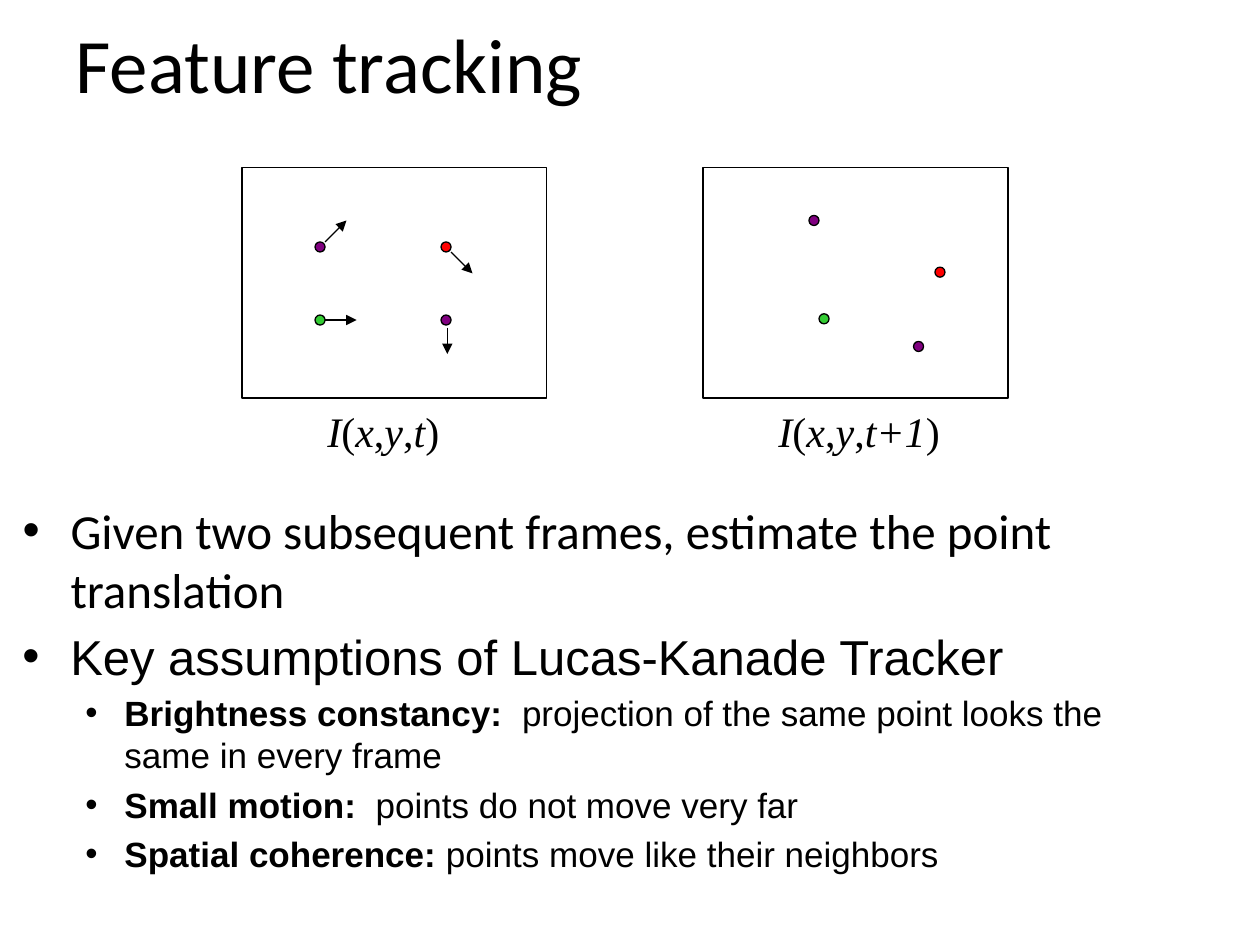
"""Build a slide that explains feature tracking between two frames."""
import pptx
import pptx.dml.color
import pptx.enum.shapes
import pptx.enum.text
import pptx.oxml
import pptx.oxml.ns
import pptx.util

Inches = pptx.util.Inches
Pt = pptx.util.Pt

THEME = {
    "ink": "000000", "paper": "FFFFFF",
    "purple": "800080", "red": "FF0000", "green": "33CC33",
    "sans": "Calibri", "list": "Arial", "math": "Times New Roman",
    "title": 44, "body": 28, "detail": 20, "formula": 24, "line": 0.75,
}

TITLE = ["Feature tracking"]
TASK = ["Given two subsequent frames, estimate the point translation"]
ASSUMPTIONS = ["Key assumptions of Lucas-Kanade Tracker"]
DETAILS = [
    ["Brightness constancy:  ", "projection of the same point looks the same in every frame"],
    ["Small motion:", "  points do not move very far"],
    ["Spatial coherence:", " points move like their neighbors"],
]
FRAMES = [
    {"left": 1.92,
     "points": [("purple", 2.5, 1.92), ("red", 3.5, 1.92),
                ("green", 2.5, 2.5), ("purple", 3.5, 2.5)],
     "label": ["I", "(", "x", ",", "y", ",", "t", ")"],
     "label_box": (2.5, 3.17, 1.1, 0.51)},
    {"left": 5.58,
     "points": [("purple", 6.42, 1.71), ("red", 7.42, 2.12),
                ("green", 6.5, 2.49), ("purple", 7.25, 2.71)],
     "label": ["I", "(", "x", ",", "y", ",", "t+1", ")"],
     "label_box": (6.08, 3.17, 1.49, 0.51)},
]
MOTIONS = [
    (2.58, 1.92, 2.75, 1.75),
    (2.58, 2.54, 2.83, 2.54),
    (3.58, 2, 3.75, 2.17),
    (3.55, 2.6, 3.55, 2.81),
]
FRAME_TOP, FRAME_WIDTH, FRAME_HEIGHT = 1.33, 2.42, 1.83
POINT_SIZE = 0.08
BULLETS = [(0.38, -0.38), (0.81, -0.31)]


def color(name):
    return pptx.dml.color.RGBColor.from_string(THEME[name])


def write(frame, pieces, *, size, font, emphasis=None, level=None, before=0):
    """Add a paragraph; emphasis ("bold" or "italic") marks every other piece."""
    first = frame.paragraphs[0]
    para = frame.add_paragraph() if first.runs else first
    para.alignment = pptx.enum.text.PP_ALIGN.LEFT
    para.space_before = Pt(before)
    if level is not None:
        para.level = level
        margin, indent = BULLETS[level]
        properties = para._p.get_or_add_pPr()
        properties.set("marL", str(Inches(margin)))
        properties.set("indent", str(Inches(indent)))
        namespace = pptx.oxml.ns.nsdecls("a")
        for bullet in ('buFont %s typeface="Arial"', 'buChar %s char="•"'):
            properties.append(pptx.oxml.parse_xml(f"<a:{bullet % namespace}/>"))
    for index, piece in enumerate(pieces):
        span = para.add_run()
        span.text = piece
        span.font.size = Pt(THEME[size])
        span.font.name = THEME[font]
        span.font.color.rgb = color("ink")
        if emphasis:
            setattr(span.font, emphasis, index % 2 == 0)


def prepare(box, area, *, anchor="TOP", wrap=True):
    box.left, box.top, box.width, box.height = map(Inches, area)
    frame = box.text_frame
    frame.word_wrap = wrap
    frame.auto_size = pptx.enum.text.MSO_AUTO_SIZE.NONE
    frame.vertical_anchor = getattr(pptx.enum.text.MSO_ANCHOR, anchor)
    return frame


def add_text_frame(page, area, **options):
    return prepare(page.shapes.add_textbox(*map(Inches, area)), area, **options)


def add_outline(page, kind, area, fill):
    preset = getattr(pptx.enum.shapes.MSO_SHAPE, kind)
    shape = page.shapes.add_shape(preset, *map(Inches, area))
    shape.shadow.inherit = False
    shape.fill.solid()
    shape.fill.fore_color.rgb = color(fill)
    shape.line.color.rgb = color("ink")
    shape.line.width = Pt(THEME["line"])


def add_arrow(page, ends):
    straight = pptx.enum.shapes.MSO_CONNECTOR.STRAIGHT
    arrow = page.shapes.add_connector(straight, *map(Inches, ends))
    arrow.line.color.rgb = color("ink")
    arrow.line.width = Pt(THEME["line"])
    namespace = pptx.oxml.ns.nsdecls("a")
    arrow.line._get_or_add_ln().append(
        pptx.oxml.parse_xml(f'<a:tailEnd {namespace} type="triangle"/>'))
    arrow._element.spPr.append(pptx.oxml.parse_xml(f"<a:effectLst {namespace}/>"))


def main():
    deck = pptx.Presentation()
    deck.slide_width, deck.slide_height = Inches(10), Inches(7.5)
    page = deck.slides.add_slide(deck.slide_layouts[1])
    page.background.fill.solid()
    page.background.fill.fore_color.rgb = color("paper")

    title = prepare(page.shapes.title, (0.5, 0, 9, 1), anchor="MIDDLE")
    write(title, TITLE, size="title", font="sans")
    task = prepare(page.placeholders[1], (0.08, 3.92, 9.75, 1.08))
    write(task, TASK, size="body", font="sans", level=0)

    for view in FRAMES:
        area = (view["left"], FRAME_TOP, FRAME_WIDTH, FRAME_HEIGHT)
        add_outline(page, "RECTANGLE", area, "paper")
        for fill, left, top in view["points"]:
            add_outline(page, "OVAL", (left, top, POINT_SIZE, POINT_SIZE), fill)
        label = add_text_frame(page, view["label_box"], wrap=False)
        write(label, view["label"], size="formula", font="math", emphasis="italic")
    for ends in MOTIONS:
        add_arrow(page, ends)

    assumptions = add_text_frame(page, (0.08, 4.92, 9, 2.42))
    write(assumptions, ASSUMPTIONS, size="body", font="list", level=0)
    for detail in DETAILS:
        write(assumptions, detail, size="detail", font="list",
              emphasis="bold", level=1, before=4)

    deck.save("out.pptx")


if __name__ == "__main__":
    main()
